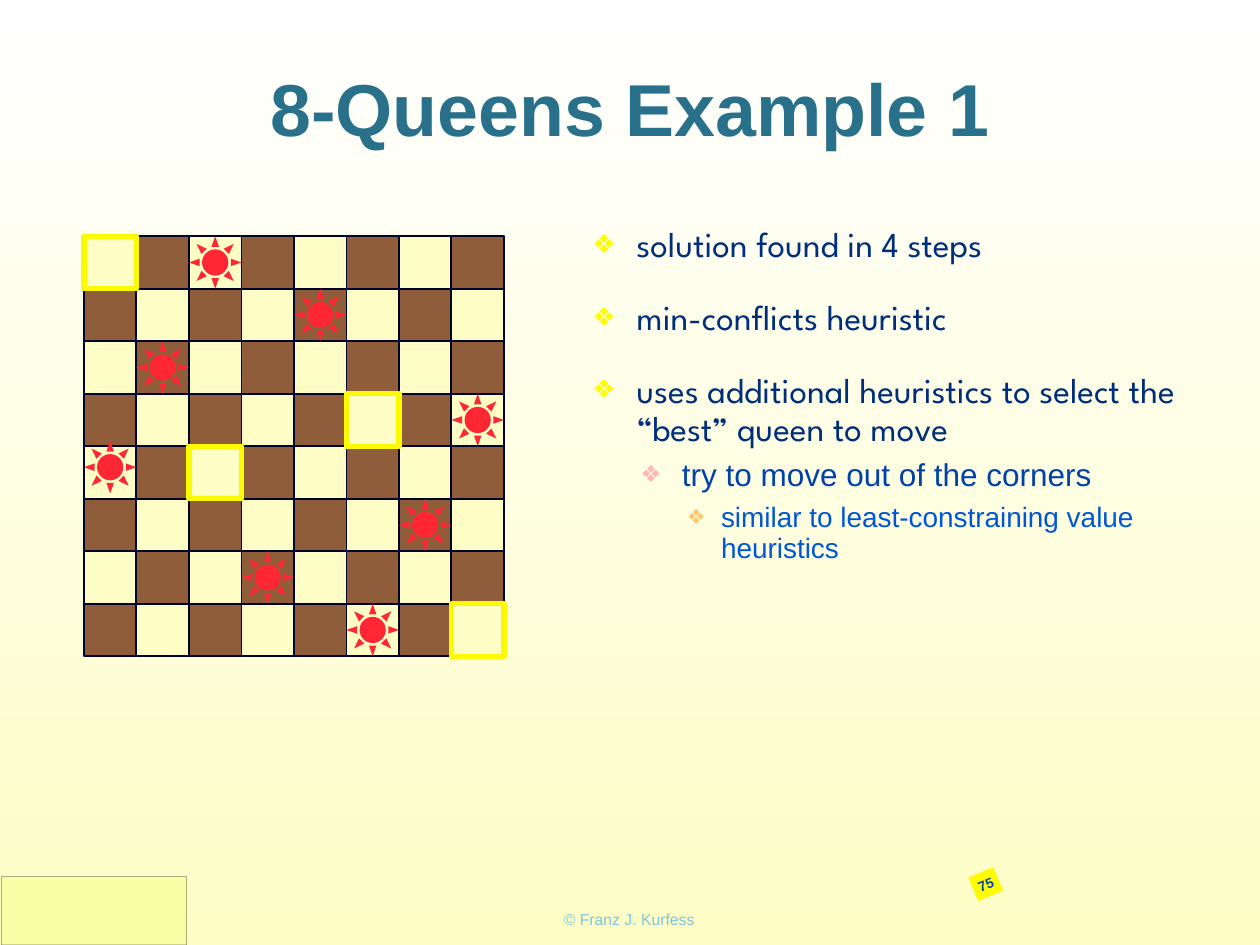
from lxml import etree
from pptx import Presentation
from pptx.dml.color import RGBColor
from pptx.enum.shapes import MSO_SHAPE
from pptx.enum.text import MSO_ANCHOR, MSO_AUTO_SIZE, PP_ALIGN
from pptx.oxml.ns import qn
from pptx.util import Pt

RECTANGLE, SUN = MSO_SHAPE.RECTANGLE, MSO_SHAPE.SUN
CENTER, LEFT = PP_ALIGN.CENTER, PP_ALIGN.LEFT
TOP, MIDDLE = MSO_ANCHOR.TOP, MSO_ANCHOR.MIDDLE
FIXED_SIZE = MSO_AUTO_SIZE.NONE

CREAM = RGBColor(0xFD, 0xFD, 0xC5)
WHITE = RGBColor(0xFF, 0xFF, 0xFF)
BLACK = RGBColor(0x00, 0x00, 0x00)
BROWN = RGBColor(0x90, 0x5D, 0x3A)
GRID_NAVY = RGBColor(0x00, 0x03, 0x2B)
QUEEN_RED = RGBColor(0xFF, 0x27, 0x34)
MARK_YELLOW = RGBColor(0xFB, 0xFA, 0x00)
BADGE_YELLOW = RGBColor(0xFF, 0xFB, 0x00)
CORNER_YELLOW = RGBColor(0xF8, 0xFC, 0x84)
TITLE_TEAL = RGBColor(0x29, 0x70, 0x8A)
FOOTER_BLUE = RGBColor(0x80, 0xC4, 0xDF)
BADGE_BLUE = RGBColor(0x00, 0x48, 0xAA)
BULLET_PINK = RGBColor(0xFF, 0xB9, 0xB2)
BULLET_ORANGE = RGBColor(0xFF, 0xC6, 0x6D)

LEVELS = [
    {"font": "League Spartan", "size": 20, "color": RGBColor(0x00, 0x2E, 0x7A),
     "bullet": BADGE_YELLOW, "margin": 25.2, "hang": 25.2, "before": 20},
    {"font": "Arial", "size": 18, "color": RGBColor(0x00, 0x42, 0xAA),
     "bullet": BULLET_PINK, "margin": 51.2, "hang": 23.8, "before": 6},
    {"font": "Arial", "size": 16, "color": RGBColor(0x00, 0x56, 0xD6),
     "bullet": BULLET_ORANGE, "margin": 73.5, "hang": 19.5, "before": 6},
]
POINTS = [
    (0, "solution found in 4 steps"),
    (0, "min-conflicts heuristic"),
    (0, "uses additional heuristics to select the “best” queen to move"),
    (1, "try to move out of the corners"),
    (2, "similar to least-constraining value heuristics"),
]
BOARD_SIZE = 8
QUEENS = [(0, 2), (1, 4), (2, 1), (3, 7), (3.9, 0), (5, 6), (6, 3), (7, 5)]
MARKED_CELLS = [(0, 0), (3, 5), (4, 2), (7, 7)]


def set_values(target, values):
    """Set each named attribute of the target."""
    for name, value in values.items():
        setattr(target, name, value)


def place(shape, box):
    """Move a shape to a box given in points."""
    set_values(shape, dict(zip(("left", "top", "width", "height"), map(Pt, box))))


def format_frame(frame, anchor, wrap=True):
    """Give a text frame its small insets, anchor and wrapping."""
    set_values(frame, {"auto_size": FIXED_SIZE, "word_wrap": wrap, "vertical_anchor": anchor})
    set_values(frame, {f"margin_{side}": Pt(3) for side in ("left", "top", "right", "bottom")})


def write_text(paragraph, text, font, size, color, bold=False, alignment=CENTER):
    """Write one formatted run into a paragraph."""
    paragraph.alignment = alignment
    run = paragraph.add_run()
    run.text = text
    set_values(run.font, {"name": font, "size": Pt(size), "bold": bold})
    run.font.color.rgb = color


def add_block(slide, kind, box, fill=None, line=None, width=1):
    """Add a preset shape with an optional fill and line."""
    shape = slide.shapes.add_shape(kind, *map(Pt, box))
    shape.shadow.inherit = False
    if fill is None:
        shape.fill.background()
    else:
        shape.fill.solid()
        shape.fill.fore_color.rgb = fill
    if line is None:
        shape.line.fill.background()
    else:
        shape.line.color.rgb = line
        shape.line.width = Pt(width)
    return shape


def fill_background(slide):
    """Fade the slide from white at the top to cream at the bottom."""
    fill = slide.background.fill
    fill.gradient()
    fill.gradient_angle = 90
    for stop, (position, color) in zip(fill.gradient_stops, [(0, CREAM), (1, WHITE)]):
        stop.position = position
        stop.color.rgb = color


def add_corner(slide, box):
    """Add the translucent corner panel."""
    panel = add_block(slide, RECTANGLE, box, CORNER_YELLOW, BLACK, 0.25)
    for color in panel._element.spPr.iter(qn("a:srgbClr")):
        etree.SubElement(color, qn("a:alpha"), val="48000")


def add_footer(slide, box):
    """Add the copyright line."""
    frame = slide.shapes.add_textbox(*map(Pt, box)).text_frame
    format_frame(frame, MIDDLE)
    write_text(frame.paragraphs[0], "© Franz J. Kurfess", "Arial", 9, FOOTER_BLUE)


def add_title(slide, box):
    """Fill the title placeholder."""
    title = slide.shapes.title
    place(title, box)
    format_frame(title.text_frame, MIDDLE)
    write_text(title.text_frame.paragraphs[0], "8-Queens Example 1", "Arial", 42,
               TITLE_TEAL, bold=True)


def add_board(slide, box):
    """Draw the chessboard, its queens and the marked cells."""
    left, top, width, height = box
    cell_width, cell_height = width / BOARD_SIZE, height / BOARD_SIZE

    def cell(row, column):
        """Return the box of a cell."""
        return left + column * cell_width, top + row * cell_height, cell_width, cell_height

    for row in range(BOARD_SIZE):
        for column in range(BOARD_SIZE):
            fill = BROWN if (row + column) % 2 else CREAM
            add_block(slide, RECTANGLE, cell(row, column), fill, GRID_NAVY)
    for position in QUEENS:
        add_block(slide, SUN, cell(*position), QUEEN_RED)
    for position in MARKED_CELLS:
        add_block(slide, RECTANGLE, cell(*position), line=MARK_YELLOW, width=3)


def add_bullet(paragraph, color):
    """Give a paragraph a coloured diamond bullet."""
    properties = paragraph._p.get_or_add_pPr()
    bullet_color = etree.SubElement(properties, qn("a:buClr"))
    etree.SubElement(bullet_color, qn("a:srgbClr"), val=str(color))
    etree.SubElement(properties, qn("a:buSzPct"), val="75000")
    etree.SubElement(properties, qn("a:buChar"), char="❖")


def add_points(slide, box):
    """Fill the body placeholder with the bulleted list."""
    body = slide.placeholders[1]
    place(body, box)
    frame = body.text_frame
    format_frame(frame, TOP)
    for index, (level, text) in enumerate(POINTS):
        style = LEVELS[level]
        paragraph = frame.add_paragraph() if index else frame.paragraphs[0]
        set_values(paragraph, {"level": level, "line_spacing": 0.9,
                               "space_before": Pt(style["before"])})
        properties = paragraph._p.get_or_add_pPr()
        properties.set("marL", str(Pt(style["margin"])))
        properties.set("indent", str(-Pt(style["hang"])))
        add_bullet(paragraph, style["bullet"])
        write_text(paragraph, text, style["font"], style["size"], style["color"],
                   alignment=LEFT)


def add_page_badge(slide, box):
    """Add the tilted page number."""
    badge = add_block(slide, RECTANGLE, box, BADGE_YELLOW)
    badge.rotation = 337.5
    format_frame(badge.text_frame, MIDDLE, wrap=False)
    write_text(badge.text_frame.paragraphs[0], "75", "Arial", 8, BADGE_BLUE, bold=True)


def main():
    """Build and save the slide."""
    presentation = Presentation()
    set_values(presentation, {"slide_width": Pt(720), "slide_height": Pt(540)})
    slide = presentation.slides.add_slide(presentation.slide_layouts[1])
    fill_background(slide)
    add_corner(slide, (0.75, 501, 106, 39))
    add_footer(slide, (242, 516, 235, 19))
    add_title(slide, (43, 0, 634, 122.5))
    add_board(slide, (48, 135, 240, 240))
    add_points(slide, (335.5, 127, 341.5, 376))
    add_page_badge(slide, (555.5, 498, 15.5, 14.5))
    presentation.save("out.pptx")


if __name__ == "__main__":
    main()
